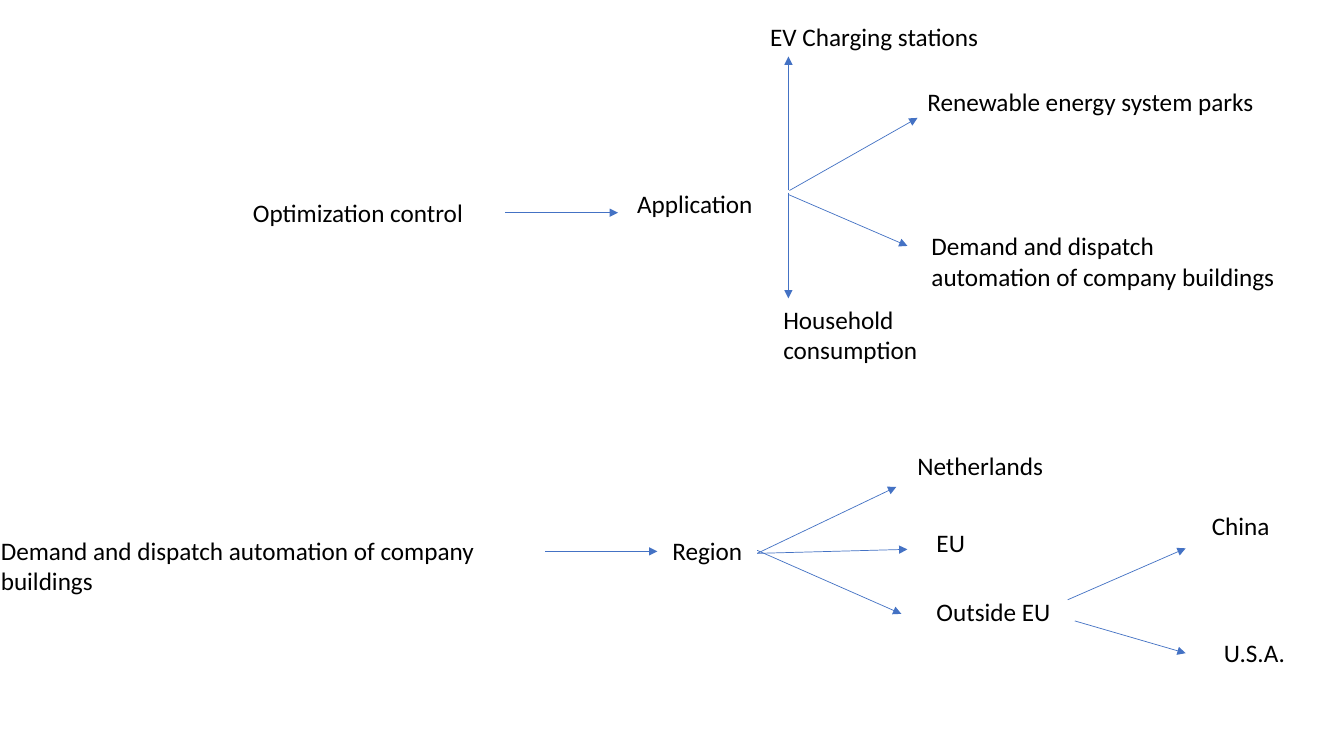
from pptx import Presentation
from pptx.dml.color import RGBColor
from pptx.enum.shapes import MSO_CONNECTOR
from pptx.enum.text import MSO_AUTO_SIZE
from pptx.oxml.ns import qn
from pptx.util import Inches, Pt
from lxml.etree import SubElement

BLACK = RGBColor(0x00, 0x00, 0x00)
BLUE = RGBColor(0x44, 0x72, 0xC4)


class TreeSlide:
    """Places labels and arrows on a grid of 0.1 inch cells."""

    cell = Inches(0.1)
    font, size = "Calibri", Pt(18)
    line_width = Pt(0.5)

    def __init__(self, prs):
        self.s = prs.slides.add_slide(prs.slide_layouts[6])

    def grid(self, *cells):
        return [round(n * self.cell) for n in cells]

    def label(self, text, col, row, cols, rows=4):
        sp = self.s.shapes.add_textbox(*self.grid(col, row, cols, rows))
        tf = sp.text_frame
        tf.word_wrap = True
        tf.auto_size = MSO_AUTO_SIZE.SHAPE_TO_FIT_TEXT
        p = tf.paragraphs[0]
        p.text = text
        p.font.name, p.font.size = self.font, self.size
        p.font.color.rgb = BLACK

    def arrow(self, start, end):
        cxn = self.s.shapes.add_connector(
            MSO_CONNECTOR.STRAIGHT, *self.grid(*start, *end))
        cxn.line.color.rgb = BLUE
        cxn.line.width = self.line_width
        SubElement(cxn.line._get_or_add_ln(), qn("a:tailEnd"), type="triangle")
        SubElement(cxn._element.spPr, qn("a:effectLst"))


def main():
    prs = Presentation()
    prs.slide_width, prs.slide_height = Inches(13.33), Inches(7.5)
    tree = TreeSlide(prs)
    automation = "Demand and dispatch automation of company buildings"

    labels = [
        # Applications of optimization control
        ("Optimization control", 24.1, 19.1, 32.4),
        ("Application", 62.2, 18.2, 29.1),
        ("EV Charging stations", 75.4, 1.6, 24),
        ("Renewable energy system parks", 91, 8.1, 34.7),
        (automation, 91.4, 22.4, 36.3, 7.1),
        ("Household consumption", 76.7, 29.7, 23.5, 7.1),
        # Regions for demand and dispatch automation
        (automation, -0.9, 52.6, 56.6, 7.1),
        ("Region", 65.7, 52.6, 29.1),
        ("Netherlands", 90, 44.2, 25.6),
        ("EU", 91.9, 51.8, 22.7),
        ("Outside EU", 91.9, 58.7, 17.6),
        ("China", 119.2, 50.1, 13.8),
        ("U.S.A.", 120.4, 62.7, 12.6),
    ]
    for item in labels:
        tree.label(*item)

    arrows = [
        # Application branches
        ((50.1, 21.1), (61.3, 21.1)),
        ((78.2, 18.9), (78.2, 5.6)),
        ((78.3, 18.9), (91, 11.7)),
        ((78.2, 19.3), (90, 24.4)),
        ((78.2, 19.1), (78.2, 29.6)),
        # Region branches
        ((54.1, 54.7), (65.2, 54.7)),
        ((75.1, 54.9), (88.9, 48.3)),
        ((75.1, 54.9), (90, 54.5)),
        ((75.1, 54.6), (89.4, 60.9)),
        # Countries outside the EU
        ((105.9, 59.5), (117.6, 54.4)),
        ((106.6, 61.6), (117.6, 64.8)),
    ]
    for start, end in arrows:
        tree.arrow(start, end)

    prs.save("out.pptx")


if __name__ == "__main__":
    main()
